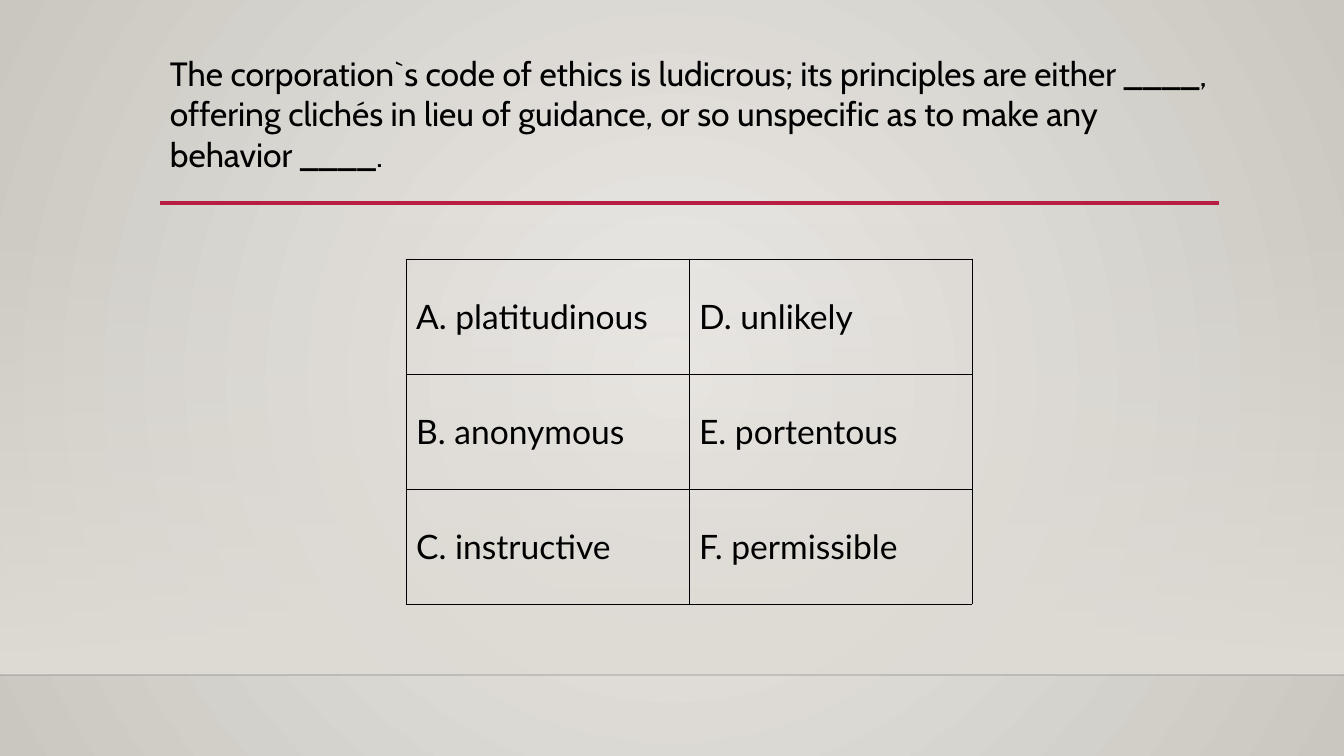
from pptx import Presentation
from pptx.dml.color import RGBColor
from pptx.enum.shapes import MSO_CONNECTOR, MSO_SHAPE
from pptx.enum.text import MSO_ANCHOR
from pptx.oxml import parse_xml
from pptx.oxml.ns import nsdecls, qn
from pptx.util import Emu, Pt

QUESTION = (
    "The corporation`s code of ethics is ludicrous; its principles are either ____, "
    "offering clichés in lieu of guidance, or so unspecific as to make any behavior ____."
)
CHOICES = [
    ("A. platitudinous", "D. unlikely"),
    ("B. anonymous", "E. portentous"),
    ("C. instructive", "F. permissible"),
]

WIDTH, HEIGHT = 1344, 756
FLOOR_TOP, FLOOR_LINE = 223, 675
RULE_LEFT, RULE_RIGHT, RULE_Y = 160, 1219, 203
QUESTION_BOX = (160, 48, 1059, 132)
TABLE_LEFT, TABLE_TOP = 406, 259
COLUMN, ROW = 283, 115

INK, RED, FLOOR = "000000", "B71E42", "DFDBD5"
RADIAL = ('<a:path path="circle"><a:fillToRect l="50000" t="50000" '
          'r="50000" b="50000"/></a:path>')
DOWNWARD = '<a:lin ang="5400000" scaled="0"/>'


def px(length):
    return Emu(round(length * 914400 / 100.8))


def color(code):
    return RGBColor.from_string(code)


def set_gradient(fill, holder, stops, direction):
    """Fill with (position %, colour, opacity %) stops."""
    fill.solid()
    stop_xml = "".join(
        f'<a:gs pos="{position * 1000}"><a:srgbClr val="{code}">'
        f'<a:alpha val="{opacity * 1000}"/></a:srgbClr></a:gs>'
        for position, code, opacity in stops)
    solid = next(holder.iter(qn("a:solidFill")))
    solid.getparent().replace(solid, parse_xml(
        f'<a:gradFill {nsdecls("a")} rotWithShape="1"><a:gsLst>{stop_xml}</a:gsLst>'
        f'{direction}</a:gradFill>'))


def add_rule(page, left, right, y, code, points, opacity=100):
    rule = page.shapes.add_connector(
        MSO_CONNECTOR.STRAIGHT, px(left), px(y), px(right), px(y))
    rule.line.color.rgb = color(code)
    rule.line.width = Pt(points)
    if opacity < 100:
        paint = next(rule.element.spPr.iter(qn("a:srgbClr")))
        paint.append(parse_xml(f'<a:alpha {nsdecls("a")} val="{opacity * 1000}"/>'))
    rule.element.spPr.append(parse_xml(f'<a:effectLst {nsdecls("a")}/>'))


def write(frame, text, font):
    span = frame.paragraphs[0].add_run()
    span.text = text
    span.font.name = font
    span.font.size = Pt(24)
    span.font.color.rgb = color(INK)


def outline(cell):
    properties = cell._tc.get_or_add_tcPr()
    for side in ("lnL", "lnR", "lnT", "lnB"):
        properties.append(parse_xml(
            f'<a:{side} {nsdecls("a")} w="{Pt(0.48)}"><a:solidFill>'
            f'<a:srgbClr val="{INK}"/></a:solidFill></a:{side}>'))


def add_choices(page):
    rows, columns = len(CHOICES), len(CHOICES[0])
    table = page.shapes.add_table(
        rows, columns, px(TABLE_LEFT), px(TABLE_TOP),
        px(columns * COLUMN), px(rows * ROW)).table
    table.first_row = table.horz_banding = False
    for row, choices in enumerate(CHOICES):
        for column, choice in enumerate(choices):
            cell = table.cell(row, column)
            cell.vertical_anchor = MSO_ANCHOR.MIDDLE
            outline(cell)
            cell.fill.background()
            write(cell.text_frame, choice, "Lato")


def main():
    deck = Presentation()
    deck.slide_width, deck.slide_height = px(WIDTH), px(HEIGHT)
    page = deck.slides.add_slide(deck.slide_layouts[6])
    set_gradient(page.background.fill, page.element,
                 [(0, "ECEAE7", 100), (100, "CAC7C1", 100)], RADIAL)

    floor = page.shapes.add_shape(
        MSO_SHAPE.RECTANGLE, 0, px(FLOOR_TOP), px(WIDTH), px(FLOOR_LINE - FLOOR_TOP))
    floor.shadow.inherit = False
    floor.line.fill.background()
    set_gradient(floor.fill, floor.element.spPr,
                 [(0, FLOOR, 0), (100, FLOOR, 100)], DOWNWARD)
    add_rule(page, 0, WIDTH, FLOOR_LINE, "000001", 1, opacity=20)
    add_rule(page, RULE_LEFT, RULE_RIGHT, RULE_Y, RED, 2.5)

    box = page.shapes.add_textbox(*map(px, QUESTION_BOX))
    box.text_frame.word_wrap = True
    write(box.text_frame, QUESTION, "Cabin")
    add_choices(page)
    deck.save("out.pptx")


if __name__ == "__main__":
    main()
